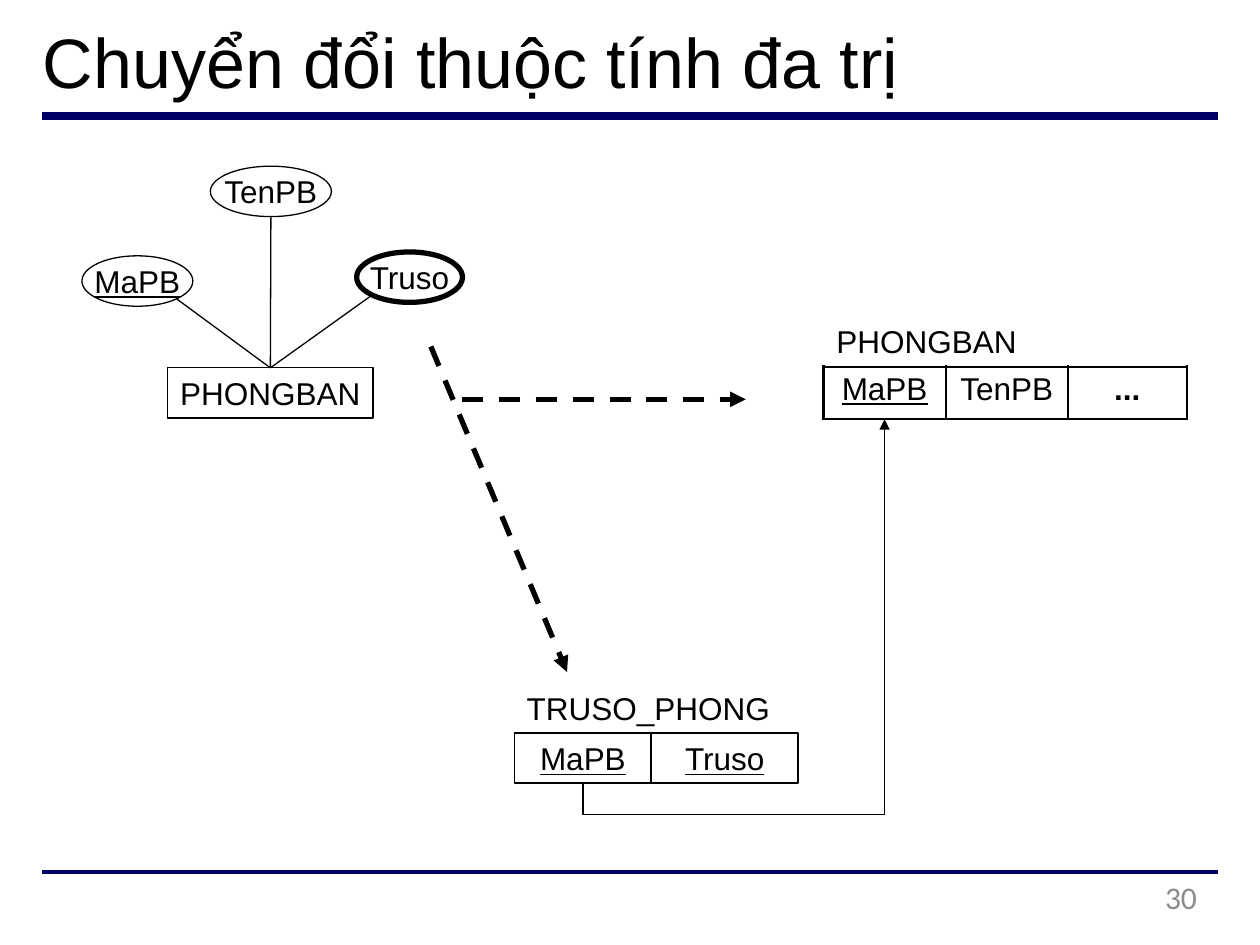
from math import sqrt

from lxml.etree import SubElement
from pptx import Presentation
from pptx.dml.color import RGBColor
from pptx.enum.dml import MSO_LINE as Dash
from pptx.enum.shapes import MSO_CONNECTOR as Link, MSO_SHAPE as Shape
from pptx.enum.text import MSO_ANCHOR as Anchor, PP_ALIGN as Align
from pptx.oxml import parse_xml
from pptx.oxml.ns import nsdecls, qn
from pptx.util import Pt

BLACK, NAVY, GREY = "000000", "000066", "8C8C8C"

# text, left, top, width, height, format
LABELS = [
    ("Chuyển đổi thuộc tính đa trị", 24.5, 10.5, 622, 48, dict(size=Pt(40))),
    ("PHONGBAN", 478, 184, 105, 22, {}),
    ("TRUSO_PHONG", 301, 394, 141, 22, {}),
    ("30", 518.4, 501.8, 165.6, 27,
     dict(name="Calibri", color=GREY, align=Align.RIGHT)),
]
RULES = [(66.2, 4.5), (498.2, 2.25)]  # y, line width
ENTITY = ("PHONGBAN", 95.8, 210.2, 117.4, 28.8)
# text, left, top, width, height, line width, side facing the entity, underline
ATTRIBUTES = [
    ("TenPB", 120.2, 95, 69.2, 28.8, 0.75, 0, False),
    ("MaPB", 46.8, 146.2, 63.4, 28.8, 0.75, 1, True),
    ("Truso", 203.8, 144, 60.5, 28.8, 3, -1, False),
]
DASHED_ARROWS = [(264.2, 228.2, 426.2, 228.2), (246.2, 198, 324, 384)]
RELATION = [("MaPB", 69.8, dict(underline=True)), ("TenPB", 69.8, {}),
            ("...", 68, dict(bold=True))]
RELATION_LEFT, RELATION_TOP, RELATION_HEIGHT = 470.6, 209.5, 30.1
KEY_CELLS = [("MaPB", 78.2), ("Truso", 84)]
KEY_LEFT, KEY_TOP, KEY_HEIGHT = 294, 419, 28.6
REFERENCE_DROP = 18


def rgb(value):
    return RGBColor.from_string(value)


def write(frame, text, align=Align.CENTER, color=BLACK, **formats):
    para = frame.paragraphs[0]
    para.alignment = align
    span = para.add_run()
    span.text = text
    for name, value in {"name": "Arial", "size": Pt(18), **formats}.items():
        setattr(span.font, name, value)
    span.font.color.rgb = rgb(color)


def clear_margins(target):
    for side in ("left", "top", "right", "bottom"):
        setattr(target, f"margin_{side}", 0)


def outline(shape, width, color=BLACK):
    shape.line.color.rgb = rgb(color)
    shape.line.width = Pt(width)


def add_arrowhead(shape):
    SubElement(shape._element.spPr.find(qn("a:ln")), qn("a:tailEnd"), type="triangle")


def add_label(text, left, top, width, height, formats):
    frame = page.shapes.add_textbox(
        Pt(left), Pt(top), Pt(width), Pt(height)).text_frame
    clear_margins(frame)
    frame.word_wrap = False
    write(frame, text, **{"align": Align.LEFT, **formats})


def add_box(kind, text, left, top, width, height, line_width, **formats):
    box = page.shapes.add_shape(kind, Pt(left), Pt(top), Pt(width), Pt(height))
    box.shadow.inherit = False
    box.fill.background()
    outline(box, line_width)
    clear_margins(box.text_frame)
    box.text_frame.word_wrap = False
    box.text_frame.vertical_anchor = Anchor.MIDDLE
    write(box.text_frame, text, **formats)
    return box


def add_line(x1, y1, x2, y2, width, color=BLACK):
    line = page.shapes.add_connector(Link.STRAIGHT, Pt(x1), Pt(y1), Pt(x2), Pt(y2))
    outline(line, width, color)
    SubElement(line._element.spPr, qn("a:effectLst"))
    return line


def add_relation():
    widths = [width for _, width, _ in RELATION]
    table = page.shapes.add_table(
        1, len(RELATION), Pt(RELATION_LEFT), Pt(RELATION_TOP),
        Pt(sum(widths)), Pt(RELATION_HEIGHT)).table
    table.first_row = table.horz_banding = False
    table.rows[0].height = Pt(RELATION_HEIGHT)
    for index, (text, width, formats) in enumerate(RELATION):
        table.columns[index].width = Pt(width)
        cell = table.cell(0, index)
        clear_margins(cell)
        cell.margin_top = Pt(3)
        cell.fill.background()
        write(cell.text_frame, text, **formats)
        for place, side in enumerate("LRTB"):
            cell._tc.get_or_add_tcPr().insert(place, parse_xml(
                f'<a:ln{side} {nsdecls("a")} w="{Pt(1.5)}"><a:solidFill>'
                f'<a:srgbClr val="{BLACK}"/></a:solidFill></a:ln{side}>'))


def add_reference():
    """Arrow from the foreign key cell to the key column it refers to."""
    start_x = KEY_LEFT + KEY_CELLS[0][1] / 2
    end_x = RELATION_LEFT + RELATION[0][1] / 2
    start_y = KEY_TOP + KEY_HEIGHT
    low_y = start_y + REFERENCE_DROP
    end_y = RELATION_TOP + RELATION_HEIGHT
    builder = page.shapes.build_freeform(Pt(start_x), Pt(start_y))
    builder.add_line_segments(
        [(Pt(x), Pt(y)) for x, y in
         [(start_x, low_y), (end_x, low_y), (end_x, end_y)]], close=False)
    route = builder.convert_to_shape()
    route.shadow.inherit = False
    route.fill.background()
    outline(route, 0.75)
    add_arrowhead(route)


deck = Presentation()
deck.slide_width, deck.slide_height = Pt(720), Pt(540)
page = deck.slides.add_slide(deck.slide_layouts[6])

for y, width in RULES:
    add_line(24, y, 696, y, width, NAVY)
for label in LABELS:
    add_label(*label)

entity = add_box(Shape.RECTANGLE, *ENTITY, 0.75)
for text, left, top, width, height, line_width, side, underline in ATTRIBUTES:
    add_box(Shape.OVAL, text, left, top, width, height, line_width,
            underline=underline)
    reach = sqrt(0.5) if side else 1
    link = add_line(left + width / 2 * (1 + side * reach),
                    top + height / 2 * (1 + reach), 0, 0, 0.75)
    link.end_connect(entity, 0)

for ends in DASHED_ARROWS:
    arrow = add_line(*ends, 3)
    arrow.line.dash_style = Dash.DASH
    add_arrowhead(arrow)

add_relation()
left = KEY_LEFT
for text, width in KEY_CELLS:
    add_box(Shape.RECTANGLE, text, left, KEY_TOP, width, KEY_HEIGHT, 1,
            underline=True)
    left += width
add_reference()

deck.save("out.pptx")
